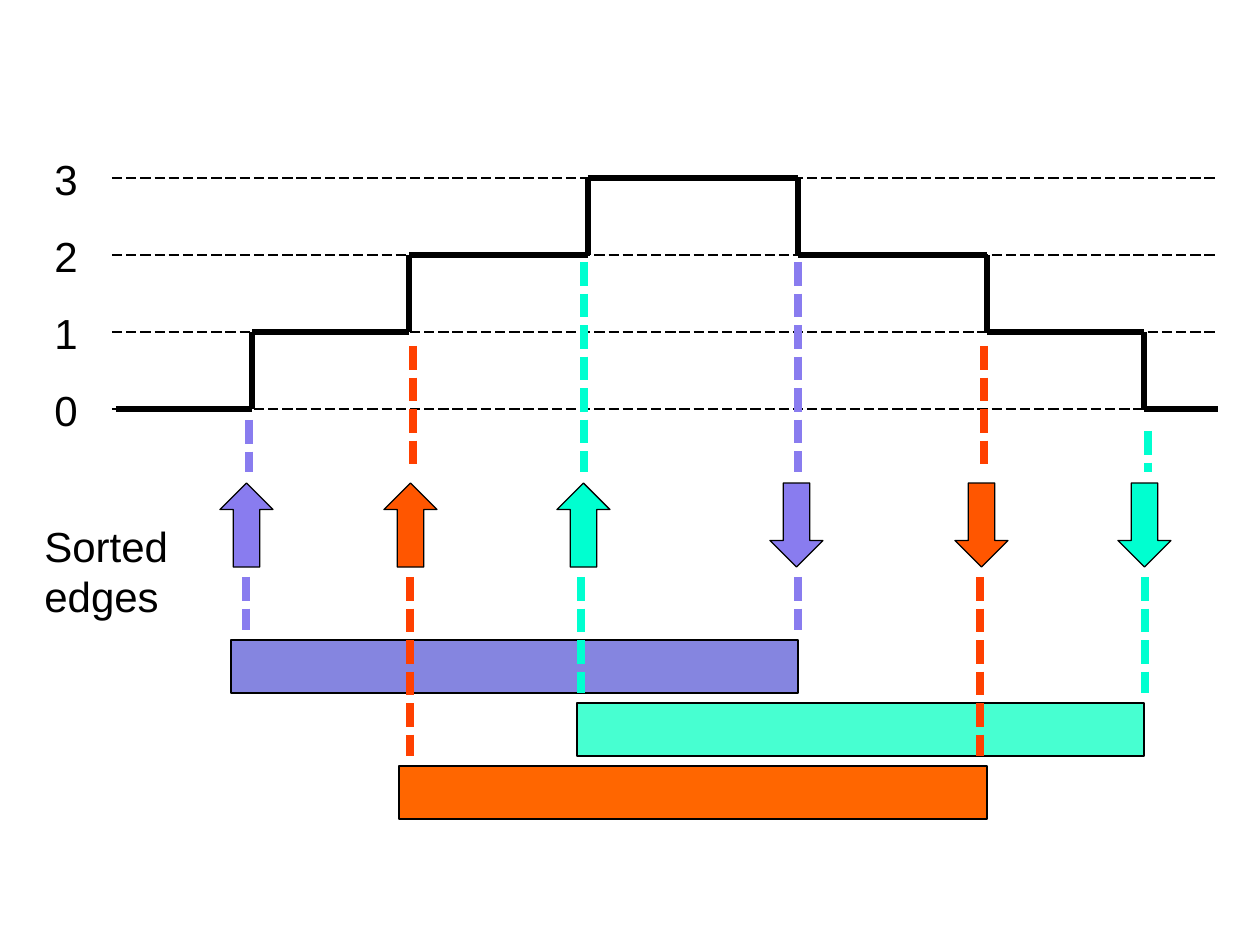
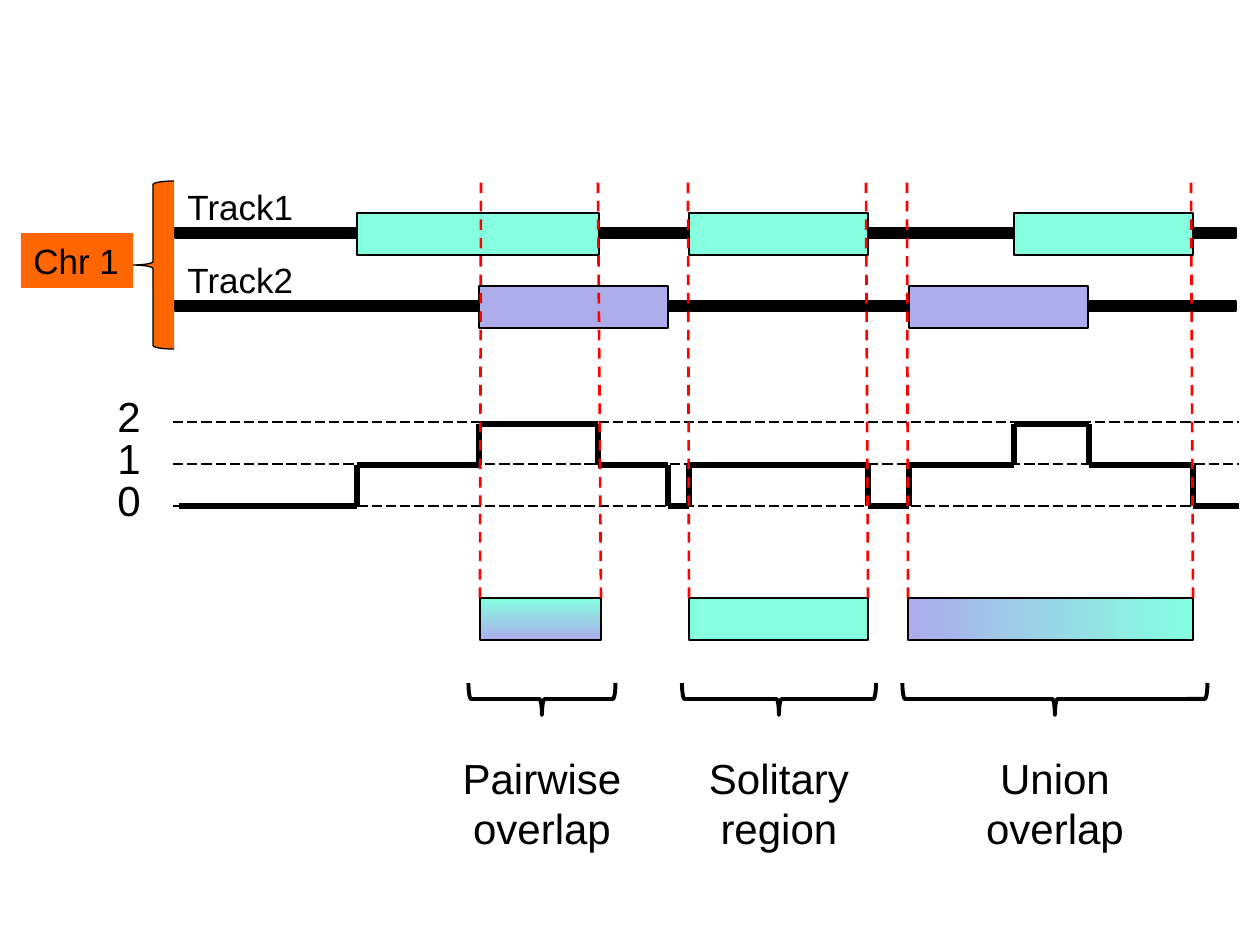
from pptx import Presentation
from pptx.dml.color import RGBColor
from pptx.enum.dml import MSO_LINE as Dash
from pptx.enum.shapes import MSO_CONNECTOR as Link, MSO_SHAPE as Kind
from pptx.enum.text import MSO_AUTO_SIZE as Fit, PP_ALIGN as Align
from pptx.oxml.ns import qn
from pptx.util import Pt
from lxml.etree import SubElement

PX = 914400 / 126
BLACK = RGBColor(0x00, 0x00, 0x00)
RED = RGBColor(0xFF, 0x00, 0x00)
ORANGE = RGBColor(0xFF, 0x66, 0x00)
LILAC = RGBColor(0xAD, 0xAD, 0xEB)
MINT = RGBColor(0x85, 0xFF, 0xE0)
INDIGO = RGBColor(0x85, 0x85, 0xE0)
AQUA = RGBColor(0x47, 0xFF, 0xD1)
VIOLET = RGBColor(0x89, 0x7C, 0xEF)
TEAL = RGBColor(0x00, 0xFF, 0xD0)
RUST = RGBColor(0xFF, 0x56, 0x00)
FLAME = RGBColor(0xFF, 0x40, 0x00)


def draw(slide, box, text="", kind=None, fill=None, line=0.75, size=24, align=Align.LEFT):
    box = [round(v * PX) for v in box]
    if kind is None:
        item = slide.shapes.add_textbox(*box)
    else:
        item = slide.shapes.add_shape(kind, *box)
        item.shadow.inherit = False
        item.line.color.rgb = BLACK
        item.line.width = Pt(line)
    if fill is None:
        item.fill.background()
    else:
        item.fill.solid()
        item.fill.fore_color.rgb = fill
    if text:
        frame = item.text_frame
        frame.word_wrap = False
        frame.auto_size = Fit.SHAPE_TO_FIT_TEXT
        frame.text = text
        for para in frame.paragraphs:
            para.alignment = align
            para.font.size = Pt(size)
            para.font.name = "Arial"
            para.font.color.rgb = BLACK
    return item


def rule(slide, ends, color=BLACK, width=0.75, dash=None):
    item = slide.shapes.add_connector(Link.STRAIGHT, *[round(v * PX) for v in ends])
    item.line.color.rgb = color
    item.line.width = Pt(width)
    if dash:
        item.line.dash_style = dash
    SubElement(item._element.spPr, qn("a:effectLst"))


deck = Presentation()
deck.slide_width = round(1260 * PX)
deck.slide_height = round(945 * PX)
edges, tracks = [deck.slides.add_slide(deck.slide_layouts[6]) for _ in range(2)]

for left, top, width, fill in [
    (231, 640, 567, INDIGO),
    (577, 703, 567, AQUA),
    (399, 766, 588, ORANGE),
]:
    draw(edges, (left, top, width, 53), kind=Kind.RECTANGLE, fill=fill)

for name, top, fill, spans in [
    ("Track1", 179, MINT, [(357, 242), (689, 179), (1014, 179)]),
    ("Track2", 252, LILAC, [(479, 189), (909, 179)]),
]:
    draw(tracks, (175, top + 49, 1061, 10), kind=Kind.RECTANGLE, fill=BLACK)
    for left, width in spans:
        draw(tracks, (left, top + 34, width, 42), kind=Kind.RECTANGLE, fill=fill)
    draw(tracks, (175, top, 132, 55), name, size=20)
draw(tracks, (132, 181, 42, 168), kind=Kind.LEFT_BRACE, fill=ORANGE)
draw(tracks, (21, 233, 112, 55), "Chr 1", fill=ORANGE, size=20)

for slide, base, gap, rise, grid, label, stops, counts in [
    (edges, 409, 77, 77, (112, 1215), (42, 31),
     [116, 252, 409, 588, 798, 987, 1144, 1218],
     [0, 1, 2, 3, 2, 1, 0]),
    (tracks, 506, 42, 41, (173, 1239), (105, 38),
     [179, 357, 479, 598, 668, 689, 868, 909, 1014, 1089, 1193, 1239],
     [0, 1, 2, 1, 0, 1, 0, 1, 2, 1, 0]),
]:
    for level in range(max(counts) + 1):
        y = base - gap * level
        rule(slide, (grid[0], y, grid[1], y), dash=Dash.LONG_DASH)
        draw(slide, (label[0], y - label[1], 49, 63), str(level))
    depth = [base - rise * count for count in counts]
    for start, end, y in zip(stops, stops[1:], depth):
        rule(slide, (start, y, end, y), width=3)
    for x, y, after in zip(stops[1:], depth, depth[1:]):
        rule(slide, (x, max(y, after), x, min(y, after)), width=3)

for kind, left, fill, dash, low, foot, high, top in [
    (Kind.UP_ARROW, 220, VIOLET, VIOLET, 246, 630, 249, 420),
    (Kind.DOWN_ARROW, 770, VIOLET, VIOLET, 798, 630, 798, 262),
    (Kind.UP_ARROW, 384, RUST, FLAME, 410, 756, 413, 346),
    (Kind.DOWN_ARROW, 955, RUST, FLAME, 980, 756, 984, 346),
    (Kind.UP_ARROW, 557, TEAL, TEAL, 581, 693, 584, 262),
    (Kind.DOWN_ARROW, 1118, TEAL, TEAL, 1145, 693, 1148, 431),
]:
    draw(edges, (left, 483, 53, 84), kind=kind, fill=fill)
    rule(edges, (low, 577, low, foot), dash, 4.5, Dash.SQUARE_DOT)
    rule(edges, (high, top, high, 472), dash, 4.5, Dash.SQUARE_DOT)
draw(edges, (32, 514, 150, 115), "Sorted\nedges")

for text, left, width, mid, reach, wide, tops, turn in [
    ("Pairwise\noverlap", 480, 121, 542, 147, 185, (481, 598), 90),
    ("Solitary\nregion", 689, 179, 779, 194, 166, (688, 866), None),
    ("Union\noverlap", 908, 285, 1055, 305, 165, (907, 1191), 0),
]:
    part = draw(tracks, (left, 598, width, 42), kind=Kind.RECTANGLE, fill=MINT)
    if turn is not None:
        part.fill.gradient()
        part.fill.gradient_angle = turn
        for stop, color in zip(part.fill.gradient_stops, (LILAC, MINT)):
            stop.color.rgb = color
    for x, top in zip((left, left + width), tops):
        rule(tracks, (x, 598, top, 180), RED, 1.5, Dash.DASH)
    brace = draw(tracks, (mid - 16, 699 - reach / 2, 32, reach), kind=Kind.LEFT_BRACE, line=2.25)
    brace.rotation = 270
    draw(tracks, (mid - wide / 2, 746, wide, 115), text, align=Align.CENTER)

deck.save("out.pptx")
